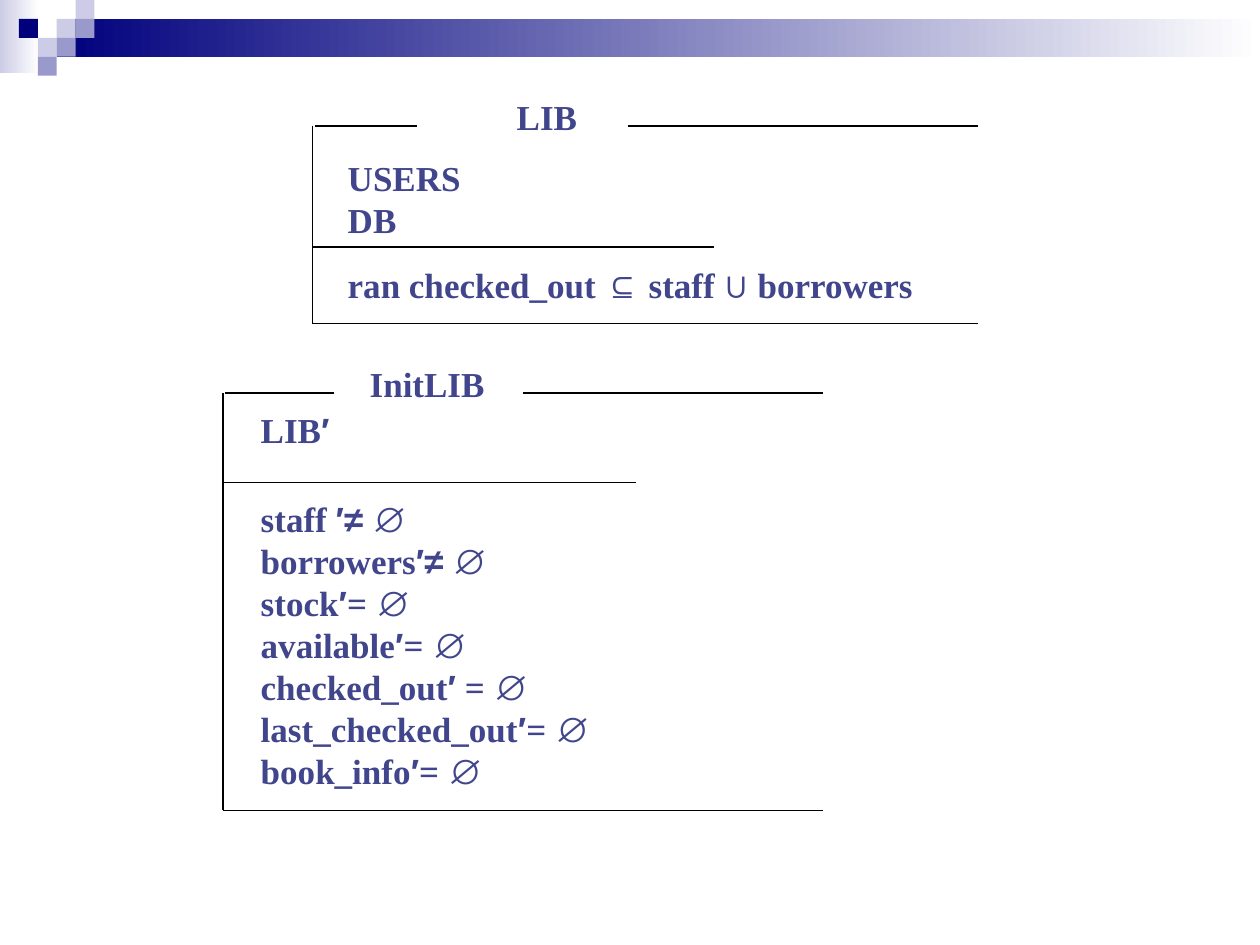
from dataclasses import dataclass
from itertools import groupby

from pptx import Presentation
from pptx import util as u
from pptx.dml.color import RGBColor
from pptx.enum import shapes, text
from pptx.oxml.ns import qn
from lxml import etree

Pt = u.Pt
HUES = {"navy": "00007D", "mid": "9999CC", "pale": "CCCCE6",
        "white": "FFFFFF", "ink": "40458C", "line": "000000"}
TILE = 10.8


@dataclass
class Label:
    """A block of text lines with its place in points."""
    left: float
    top: float
    width: float
    height: float
    lines: list[str]
    head: bool = False


@dataclass
class Schema:
    """A Z schema frame: open top edge, middle rule and labels."""
    left: float
    right: float
    top: float
    rule: float
    base: float
    stub: float
    resume: float
    end: float
    labels: list[Label]


TILES = [(2, 1, "pale"), (3, 0, "pale"), (3, 1, "mid"), (1, 2, "pale"),
         (0, 1, "navy"), (2, 2, "mid"), (1, 3, "mid")]

FRAMES = [
    Schema(127.4, 470.2, 224.6, 275.8, 463, 190.8, 298.8, 363.6, [
        Label(149, 233.3, 96.5, 33.8, ["LIB′ "]),
        Label(149, 284.4, 246.2, 178.6, [
            "staff ′≠ ∅", "borrowers′≠ ∅", "stock′= ∅", "available′= ∅",
            "checked_out′ = ∅", "last_checked_out′= ∅", "book_info′= ∅ "]),
        Label(194.4, 207.4, 104.4, 25.2, ["InitLIB "], True)]),
    Schema(178.6, 558.7, 72, 141.1, 185, 238.3, 358.6, 408.2, [
        Label(198.7, 89.3, 149.8, 34.6, ["USERS", "DB "]),
        Label(198.7, 150.5, 360, 34.6,
              ["ran checked_out ⊆ staff ∪ borrowers "]),
        Label(241.2, 54.7, 147.6, 34.6, ["LIB "], True)]),
]


def hue(name: str) -> RGBColor:
    """Look up a colour."""
    return RGBColor.from_string(HUES[name])


def block(slide, x: float, y: float, w: float, h: float,
          tone: str, fade: bool = False) -> None:
    """Draw a plain rectangle, or one that fades to white."""
    box = slide.shapes.add_shape(shapes.MSO_SHAPE.RECTANGLE,
                                 Pt(x), Pt(y), Pt(w), Pt(h))
    box.shadow.inherit = False
    box.line.fill.background()
    if fade:
        box.fill.gradient()
        box.fill.gradient_angle = 0
        for stop, name in zip(box.fill.gradient_stops, (tone, "white")):
            stop.color.rgb = hue(name)
    else:
        box.fill.solid()
        box.fill.fore_color.rgb = hue(tone)


def rule(slide, x1: float, y1: float, x2: float, y2: float) -> None:
    """Draw a thin straight line."""
    line = slide.shapes.add_connector(shapes.MSO_CONNECTOR.STRAIGHT,
                                      Pt(x1), Pt(y1), Pt(x2), Pt(y2))
    line.line.color.rgb = hue("line")
    line.line.width = Pt(0.74)
    etree.SubElement(line._element.spPr, qn("a:effectLst"))


def write(para, words: str, *, size: float = 20, bold: bool = True,
          face: str = "Times New Roman", sign: str = "Arial",
          tone: str = "ink") -> None:
    """Add words to a paragraph, with math signs in their own font."""
    for math, chars in groupby(words, lambda c: not c.isascii()):
        run = para.add_run()
        run.text = "".join(chars)
        run.font.size = Pt(size)
        run.font.bold = bold
        run.font.name = sign if math else face
        run.font.color.rgb = hue(tone)


def label(slide, item: Label) -> None:
    """Place one label as a text box without margins."""
    box = slide.shapes.add_textbox(Pt(item.left), Pt(item.top),
                                   Pt(item.width), Pt(item.height))
    frame = box.text_frame
    frame.word_wrap = True
    frame.margin_left = frame.margin_right = Pt(0)
    frame.margin_top = frame.margin_bottom = Pt(0)
    for i, words in enumerate(item.lines):
        para = frame.add_paragraph() if i else frame.paragraphs[0]
        para.line_spacing = Pt(24)
        para.alignment = text.PP_ALIGN.JUSTIFY
        if item.head:
            para.alignment = text.PP_ALIGN.CENTER
            para.space_before, para.space_after = Pt(6), Pt(3)
        write(para, words)


def schema(slide, s: Schema) -> None:
    """Draw a schema frame and its labels."""
    rule(slide, s.left, s.top, s.left, s.base)
    for x1, x2, y in ((s.left + 1.4, s.stub, s.top),
                      (s.resume, s.right, s.top),
                      (s.left, s.end, s.rule),
                      (s.left, s.right, s.base)):
        rule(slide, x1, y, x2, y)
    for item in s.labels:
        label(slide, item)


def main() -> None:
    """Build the slide and save it."""
    deck = Presentation()
    deck.slide_width, deck.slide_height = Pt(720), Pt(540)
    slide = deck.slides.add_slide(deck.slide_layouts[6])
    block(slide, 0, 0, 22.3, 41.8, "pale", fade=True)
    block(slide, 32.4, TILE, 687.6, 21.6, "navy", fade=True)
    for col, row, tone in TILES:
        block(slide, TILE * (col + 1), TILE * row, TILE, TILE, tone)
    for item in FRAMES:
        schema(slide, item)
    deck.save("out.pptx")


main()
